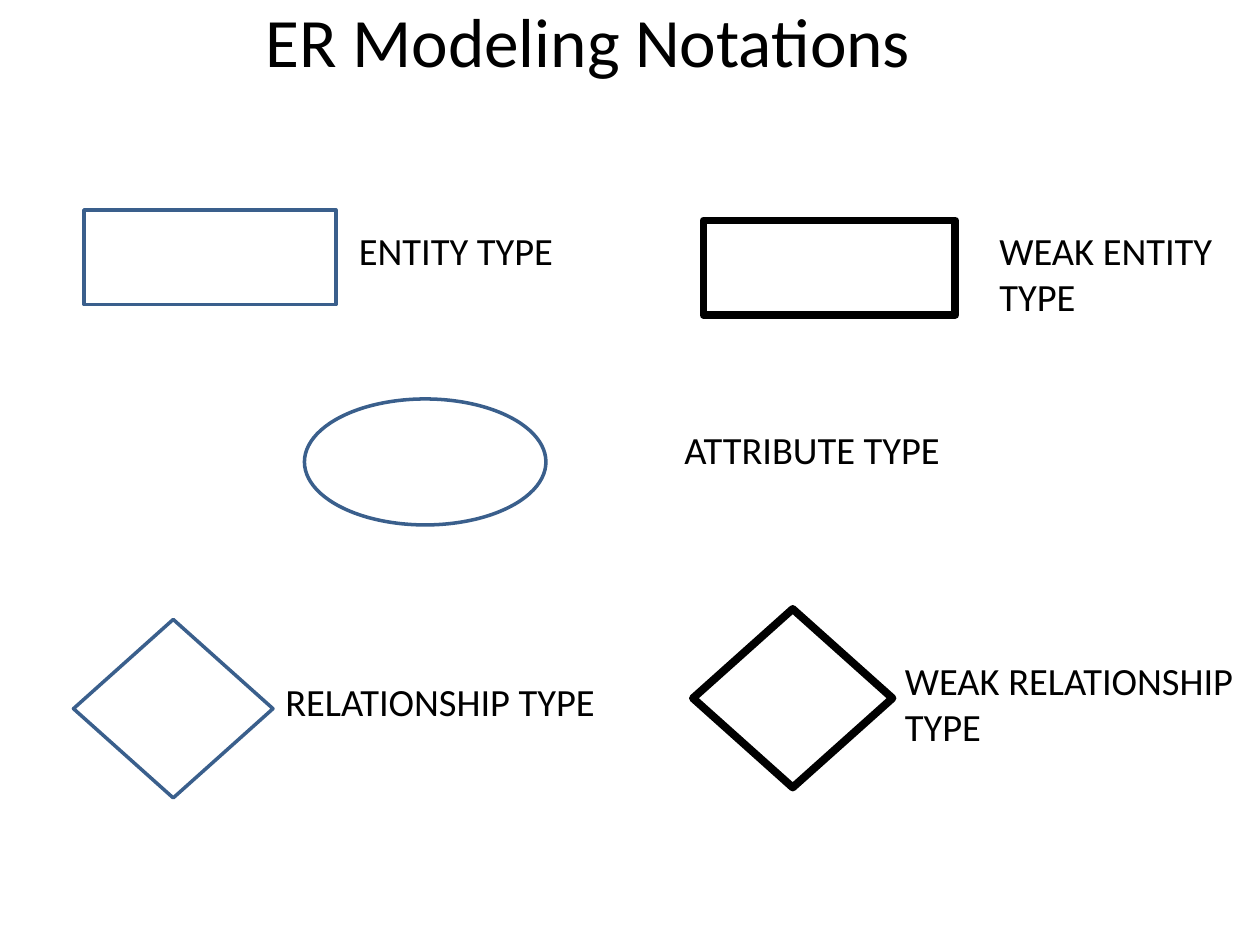
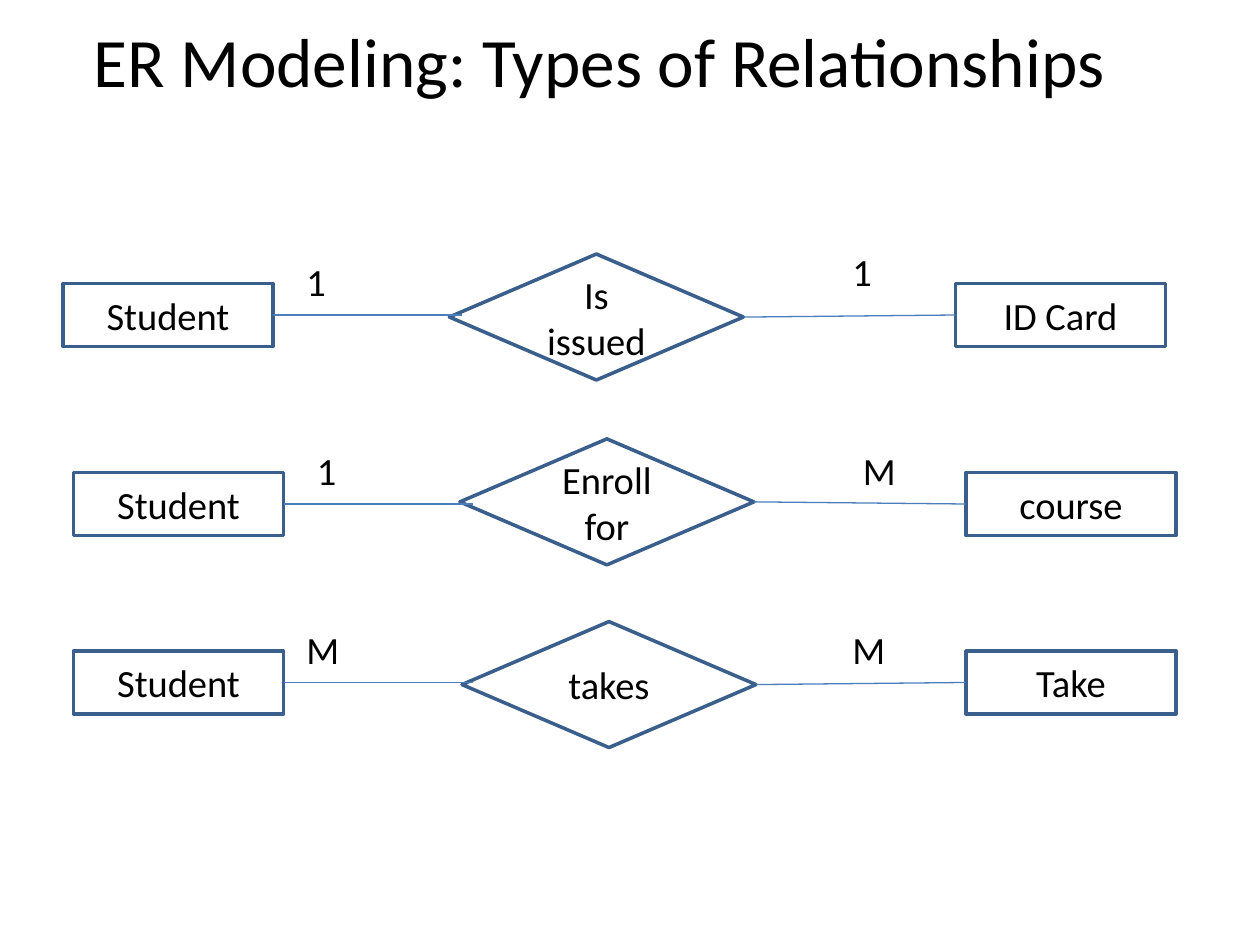
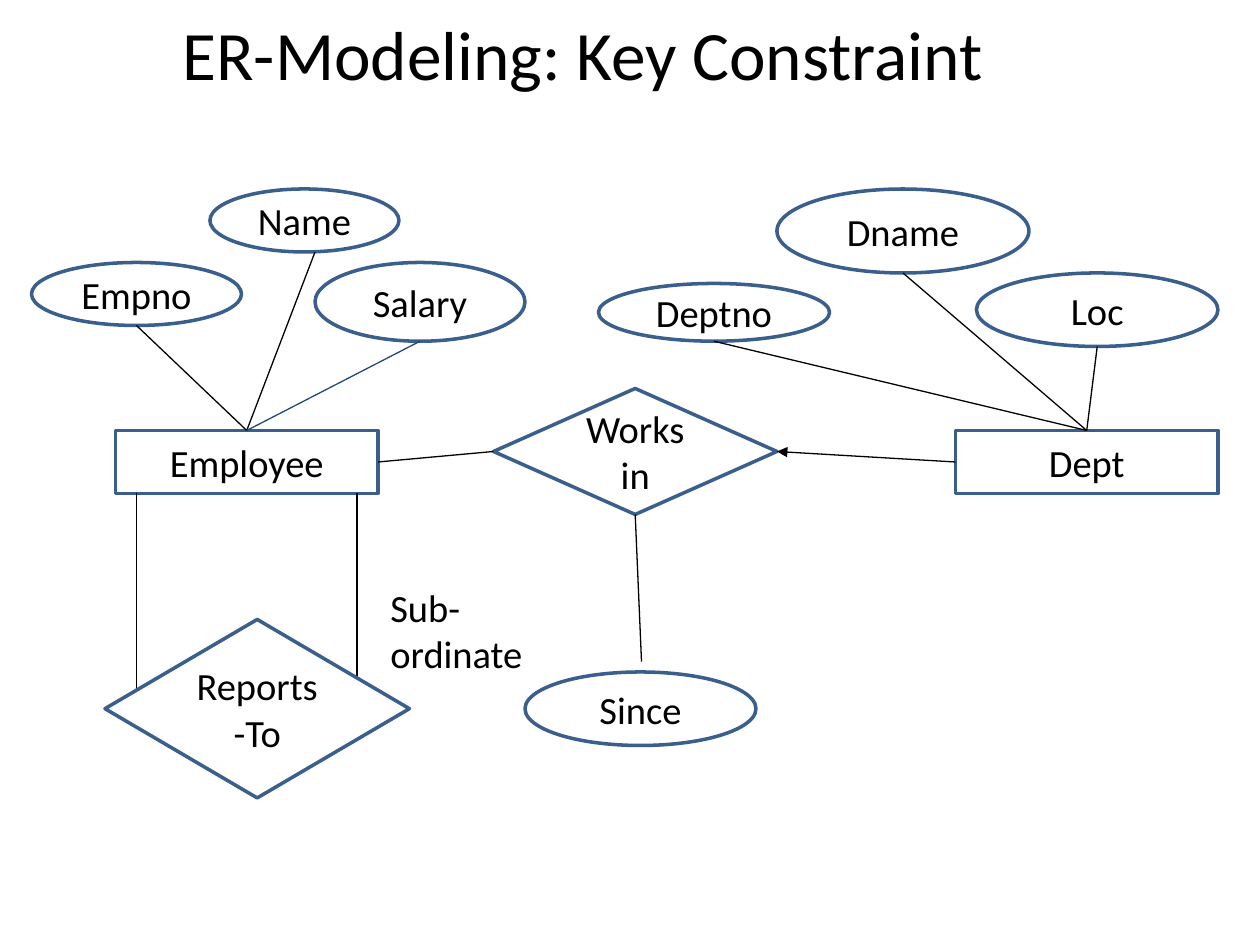
from dataclasses import dataclass
from typing import Optional, Union

from lxml import etree
from pptx import Presentation
from pptx import util as u
from pptx.dml.color import RGBColor
from pptx.enum import shapes, text
from pptx.oxml import ns

# Scale: 120 px to the inch
EMU_PER_PX = 7620
PAGE_W, PAGE_H = 1200, 900

# Shared style
WHITE = RGBColor(0xFF, 0xFF, 0xFF)
BLACK = RGBColor(0x00, 0x00, 0x00)
OUTLINE_BLUE = RGBColor(0x3A, 0x5F, 0x8C)
LINK_BLUE = RGBColor(0x4B, 0x7E, 0xBC)
NAVY = RGBColor(0x1F, 0x49, 0x7D)
FONT = "Calibri"
TITLE_PT, BODY_PT = 39.6, 22
OUTLINE_PT, WEAK_PT, LINK_PT = 2, 4.5, 0.75
TITLE_H = 73
ONE_LINE, TWO_LINES, THREE_LINES = 56, 101, 145

ENTITY = shapes.MSO_SHAPE.RECTANGLE
ATTRIBUTE = shapes.MSO_SHAPE.OVAL
RELATIONSHIP = shapes.MSO_SHAPE.FLOWCHART_DECISION
TOP, LEFT, BOTTOM, RIGHT = range(4)


@dataclass(frozen=True)
class Node:
    kind: shapes.MSO_SHAPE
    x: int
    y: int
    w: int
    h: int
    label: str = ""
    color: RGBColor = OUTLINE_BLUE
    weight: float = OUTLINE_PT


@dataclass(frozen=True)
class Caption:
    label: str
    x: int
    y: int
    w: int
    h: int
    fill: Optional[RGBColor] = None


@dataclass(frozen=True)
class Joint:
    node: Node
    side: int


@dataclass(frozen=True)
class Point:
    x: int
    y: int


@dataclass(frozen=True)
class Link:
    start: Union[Joint, Point]
    end: Union[Joint, Point]
    color: RGBColor = BLACK
    arrow_at_start: bool = False


Item = Union[Node, Caption, Link]


def px(length: int) -> u.Emu:
    return u.Emu(length * EMU_PER_PX)


def write(frame, label: str, size: float, align=text.PP_ALIGN.LEFT,
          anchor=text.MSO_ANCHOR.TOP) -> None:
    frame.word_wrap = True
    frame.vertical_anchor = anchor
    para = frame.paragraphs[0]
    para.alignment = align
    span = para.add_run()
    span.text = label
    span.font.name = FONT
    span.font.size = u.Pt(size)
    span.font.color.rgb = BLACK


def add_title(page, label: str, x: int, y: int, w: int) -> None:
    box = page.shapes.add_textbox(px(x), px(y), px(w), px(TITLE_H))
    write(box.text_frame, label, TITLE_PT, text.PP_ALIGN.CENTER,
          text.MSO_ANCHOR.MIDDLE)


def add_node(page, node: Node):
    shape = page.shapes.add_shape(node.kind, px(node.x), px(node.y),
                                  px(node.w), px(node.h))
    shape.shadow.inherit = False
    shape.fill.solid()
    shape.fill.fore_color.rgb = WHITE
    shape.line.color.rgb = node.color
    shape.line.width = u.Pt(node.weight)
    if node.label:
        write(shape.text_frame, node.label, BODY_PT, text.PP_ALIGN.CENTER,
              text.MSO_ANCHOR.MIDDLE)
    return shape


def add_caption(page, caption: Caption) -> None:
    box = page.shapes.add_textbox(px(caption.x), px(caption.y),
                                  px(caption.w), px(caption.h))
    if caption.fill is not None:
        box.fill.solid()
        box.fill.fore_color.rgb = caption.fill
    write(box.text_frame, caption.label, BODY_PT)


def add_link(page, link: Link, drawn: dict) -> None:
    ends = [(end.x, end.y) if isinstance(end, Point) else (0, 0)
            for end in (link.start, link.end)]
    line = page.shapes.add_connector(
        shapes.MSO_CONNECTOR.STRAIGHT, *(px(v) for end in ends for v in end))
    if isinstance(link.start, Joint):
        line.begin_connect(drawn[link.start.node], link.start.side)
    if isinstance(link.end, Joint):
        line.end_connect(drawn[link.end.node], link.end.side)
    line.line.color.rgb = link.color
    line.line.width = u.Pt(LINK_PT)
    properties = line._element.spPr
    if link.arrow_at_start:
        etree.SubElement(properties.find(ns.qn("a:ln")), ns.qn("a:headEnd"),
                         type="triangle")
    etree.SubElement(properties, ns.qn("a:effectLst"))


def draw(page, items: list[Item]) -> None:
    """Draw items from back to front; a link follows the nodes it joins."""
    drawn = {}
    for item in items:
        if isinstance(item, Node):
            drawn[item] = add_node(page, item)
        elif isinstance(item, Caption):
            add_caption(page, item)
        else:
            add_link(page, item, drawn)


def add_page(deck):
    return deck.slides.add_slide(deck.slide_layouts[6])


# Slide 1: the notation symbols
def build_notations(deck) -> None:
    page = add_page(deck)
    add_title(page, "ER Modeling Notations", 20, 1, 1080)
    draw(page, [
        Node(ENTITY, 80, 200, 240, 90),
        Node(ATTRIBUTE, 290, 380, 230, 120),
        Node(RELATIONSHIP, 70, 590, 190, 170),
        Caption("ENTITY TYPE", 330, 210, 230, TWO_LINES),
        Caption("ATTRIBUTE TYPE", 640, 400, 290, TWO_LINES),
        Caption("RELATIONSHIP TYPE", 260, 640, 370, TWO_LINES),
        Node(ENTITY, 670, 210, 240, 90, color=BLACK, weight=WEAK_PT),
        Caption("WEAK ENTITY TYPE", 940, 210, 230, THREE_LINES),
        Node(RELATIONSHIP, 660, 580, 190, 170, color=BLACK, weight=WEAK_PT),
        Caption("WEAK RELATIONSHIP TYPE", 850, 620, 378, THREE_LINES),
    ])


# Slide 2: one row for each kind of relationship
@dataclass(frozen=True)
class RelationshipRow:
    x: int
    y: int
    verb: str
    verb_x: int
    verb_y: int
    target: str
    left_mark: Caption
    right_mark: Caption


def mark(label: str, x: int, y: int) -> Caption:
    return Caption(label, x, y, 70, ONE_LINE, WHITE)


RELATIONSHIP_ROWS = [
    RelationshipRow(60, 270, "Is issued", 428, 242, "ID Card",
                    mark("1", 280, 240), mark("1", 800, 230)),
    RelationshipRow(70, 450, "Enroll for", 438, 418, "course",
                    mark("1", 290, 420), mark("M", 810, 420)),
    RelationshipRow(70, 620, "takes", 440, 592, "Take",
                    mark("M", 280, 590), mark("M", 800, 590)),
]


def relationship_items(row: RelationshipRow) -> list[Item]:
    student = Node(ENTITY, row.x, row.y, 200, 60, "Student")
    verb = Node(RELATIONSHIP, row.verb_x, row.verb_y, 280, 120, row.verb)
    target = Node(ENTITY, row.x + 850, row.y, 200, 60, row.target)
    return [
        student, verb, target,
        Link(Joint(student, RIGHT), Point(row.x + 380, row.y + 30), LINK_BLUE),
        Link(Joint(verb, RIGHT), Joint(target, LEFT), LINK_BLUE),
        row.left_mark, row.right_mark,
    ]


def build_relationship_types(deck) -> None:
    page = add_page(deck)
    add_title(page, "ER Modeling: Types of Relationships", 31, 20, 1080)
    for row in RELATIONSHIP_ROWS:
        draw(page, relationship_items(row))


# Slide 3: employee and department diagram
def stem(attribute: Node, entity: Node, color: RGBColor = BLACK,
         shift: int = 0) -> Link:
    """Line from the bottom of an attribute to the top of its entity."""
    foot = Point(attribute.x + attribute.w // 2 + shift,
                 attribute.y + attribute.h)
    return Link(foot, Joint(entity, TOP), color)


def build_key_constraint(deck) -> None:
    page = add_page(deck)
    add_title(page, "ER-Modeling: Key Constraint", 30, 14, 1050)

    employee = Node(ENTITY, 110, 410, 250, 60, "Employee")
    empno = Node(ATTRIBUTE, 30, 250, 200, 60, "Empno")
    name = Node(ATTRIBUTE, 200, 180, 180, 60, "Name")
    salary = Node(ATTRIBUTE, 300, 250, 200, 75, "Salary")
    works_in = Node(RELATIONSHIP, 470, 370, 270, 120, "Works in")
    dept = Node(ENTITY, 910, 410, 250, 60, "Dept")
    deptno = Node(ATTRIBUTE, 570, 270, 220, 55, "Deptno")
    dname = Node(ATTRIBUTE, 740, 180, 240, 80, "Dname")
    loc = Node(ATTRIBUTE, 930, 260, 230, 70, "Loc")

    draw(page, [
        employee,
        Link(Point(340, 470), Point(340, 650)),
        Link(Point(130, 470), Point(130, 660)),
        Node(RELATIONSHIP, 100, 590, 290, 170, "Reports-To"),
        empno, name, salary,
        stem(empno, employee),
        stem(name, employee, shift=10),
        stem(salary, employee, NAVY),
        works_in,
        Link(Joint(employee, RIGHT), Joint(works_in, LEFT)),
        dept,
        Link(Joint(works_in, RIGHT), Joint(dept, LEFT), arrow_at_start=True),
        deptno, dname, loc,
        *(stem(attribute, dept) for attribute in (deptno, dname, loc)),
        Caption("Sub-ordinate", 360, 550, 210, TWO_LINES, WHITE),
        Link(Joint(works_in, BOTTOM), Point(611, 630)),
        Node(ATTRIBUTE, 500, 640, 220, 70, "Since"),
    ])


def main() -> None:
    deck = Presentation()
    deck.slide_width, deck.slide_height = px(PAGE_W), px(PAGE_H)
    build_notations(deck)
    build_relationship_types(deck)
    build_key_constraint(deck)
    deck.save("out.pptx")


if __name__ == "__main__":
    main()
